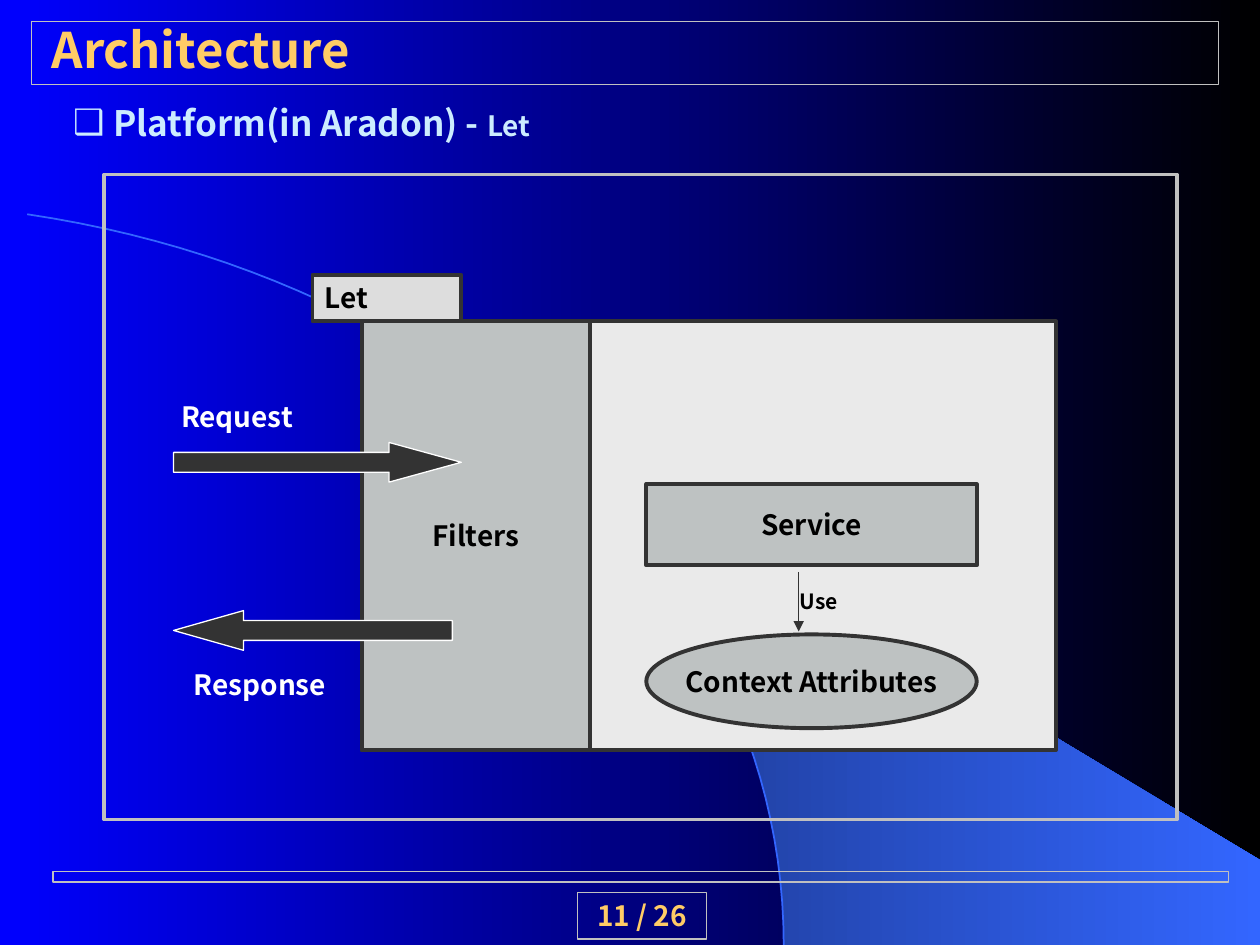
from dataclasses import dataclass

from lxml.etree import SubElement
from pptx import Presentation
from pptx.dml.color import RGBColor as RGB
from pptx.enum.shapes import MSO_CONNECTOR as Link, MSO_SHAPE as Kind
from pptx.enum.text import MSO_ANCHOR as Anchor, MSO_AUTO_SIZE as Auto, PP_ALIGN as Align
from pptx.oxml.ns import qn
from pptx.util import Cm, Pt


@dataclass(frozen=True)
class Theme:
    font: str = "Noto Sans CJK KR"
    blue: str = "0000FF"
    black: str = "000000"
    navy: str = "182F76"
    sky: str = "3366FF"
    gold: str = "FFCC66"
    ice: str = "CCECFF"
    white: str = "FFFFFF"
    silver: str = "C0C0C0"
    dark: str = "333333"
    panel: str = "EAEAEA"
    tab: str = "DDDDDD"
    grey: str = "BEC2C2"
    title: int = 28
    head: int = 20
    text: int = 16
    small: int = 12


theme = Theme()
deck = Presentation()
deck.slide_width, deck.slide_height = Cm(25.4), Cm(19.05)
slide = deck.slides.add_slide(deck.slide_layouts[1])
shapes = slide.shapes


def style(shape, fill, line, width):
    """Set fill and line; None leaves either out, a pair of colours is a gradient."""
    shape.shadow.inherit = False
    if fill is None:
        shape.fill.background()
    elif isinstance(fill, tuple):
        shape.fill.gradient()
        shape.fill.gradient_angle = 0
        for stop, color in zip(shape.fill.gradient_stops, fill):
            stop.color.rgb = RGB.from_string(color)
    else:
        shape.fill.solid()
        shape.fill.fore_color.rgb = RGB.from_string(fill)
    if line is None:
        shape.line.fill.background()
    else:
        shape.line.color.rgb = RGB.from_string(line)
        shape.line.width = Pt(width)


def write(shape, text, size, color, align=Align.LEFT, anchor=Anchor.TOP, wrap=False):
    frame = shape.text_frame
    frame.text = text
    frame.word_wrap = wrap
    frame.auto_size = Auto.NONE
    frame.vertical_anchor = anchor
    line = frame.paragraphs[0]
    line.alignment = align
    line.space_before = Pt(0)
    for run in line.runs:
        run.font.name = theme.font
        run.font.size = Pt(size)
        run.font.bold = True
        run.font.color.rgb = RGB.from_string(color)
    return line


# Background: gradient, wedge and arc
back = slide.background.fill
back.gradient()
back.gradient_angle = 0
for stop, color in zip(back.gradient_stops, (theme.blue, theme.black)):
    stop.color.rgb = RGB.from_string(color)

# The arc is a cubic curve, and its lower part bounds the wedge
ends = [(0.55, 4.32), (9.41, 5.64), (15.8, 11.83), (15.8, 19.05)]
steps = 50
arc = []
for step in range(steps + 1):
    t = step / steps
    parts = ((1 - t) ** 3, 3 * t * (1 - t) ** 2, 3 * t * t * (1 - t), t ** 3)
    arc.append(tuple(Cm(sum(p * end[axis] for p, end in zip(parts, ends)))
                     for axis in (0, 1)))
wedge = arc[18:] + [(Cm(25.4), Cm(19.05)), (Cm(25.4), Cm(17.34))]
for points, closed, fill, line in (
    (wedge, True, (theme.navy, theme.sky), None),
    (arc, False, None, theme.sky),
):
    pen = shapes.build_freeform(*points[0])
    pen.add_line_segments(points[1:], close=closed)
    style(pen.convert_to_shape(), fill, line, 1)

# Title and heading
title, body = slide.placeholders
for holder, place in ((title, (0.79, 0.43, 12.83, 1.27)), (body, (1.22, 1.91, 9.88, 1.09))):
    holder.left, holder.top, holder.width, holder.height = map(Cm, place)
write(title, "Architecture", theme.title, theme.gold, anchor=Anchor.BOTTOM)

head = write(body, "Platform(in Aradon) - ", theme.head, theme.ice)
props = head._p.get_or_add_pPr()
props.set("marL", str(Cm(0.81)))
props.set("indent", str(-Cm(0.81)))
tint = SubElement(props, qn("a:buClr"))
SubElement(tint, qn("a:srgbClr"), val=theme.ice)
SubElement(props, qn("a:buChar"), char="❑")
tail = head.add_run()
tail.text = "Let"
tail.font.name = theme.font
tail.font.size = Pt(theme.text)
tail.font.bold = True
tail.font.color.rgb = RGB.from_string(theme.ice)

# Boxes: kind, place, fill, line, width
rect = Kind.RECTANGLE
boxes = {
    "banner": (rect, (0.64, 0.43, 23.93, 1.27), None, theme.silver, 0.75),
    "rule": (rect, (1.07, 17.57, 23.7, 0.21), None, theme.silver, 0.75),
    "page": (rect, (11.64, 17.99, 2.6, 0.94), None, theme.silver, 0.75),
    "frame": (rect, (2.1, 3.52, 21.63, 13), None, theme.silver, 2),
    "panel": (rect, (7.29, 6.48, 14, 8.64), theme.panel, theme.dark, 2.25),
    "filters": (rect, (7.29, 6.48, 4.6, 8.64), theme.grey, theme.dark, 2.25),
    "context": (Kind.OVAL, (13.03, 12.79, 6.66, 1.89), theme.grey, theme.dark, 2.25),
    "service": (rect, (13.03, 9.76, 6.66, 1.64), theme.grey, theme.dark, 2.25),
    "let": (rect, (6.3, 5.54, 3, 0.94), theme.tab, theme.dark, 2.25),
    "request": (Kind.RIGHT_ARROW, (3.5, 8.92, 5.8, 0.8), theme.dark, theme.white, 0.75),
    "response": (Kind.LEFT_ARROW, (3.5, 12.31, 5.62, 0.8), theme.dark, theme.white, 0.75),
}
made = {}
for name, (kind, place, fill, line, width) in boxes.items():
    made[name] = shapes.add_shape(kind, *map(Cm, place))
    style(made[name], fill, line, width)
made["request"].adjustments[1] = 1.82
made["response"].adjustments[1] = 1.76

write(made["page"], "11 / 26", theme.text, theme.gold, Align.CENTER, wrap=True)
write(made["let"], "Let", theme.text, theme.black, wrap=True)
for name, text in (("filters", "Filters"), ("context", "Context Attributes"),
                   ("service", "Service")):
    write(made[name], text, theme.text, theme.black, Align.CENTER, Anchor.MIDDLE)

# Arrow from service to context
use = shapes.add_connector(Link.STRAIGHT, Cm(16.1), Cm(11.53), Cm(16.1), Cm(12.73))
use.line.color.rgb = RGB.from_string(theme.dark)
use.line.width = Pt(0.75)
SubElement(use.line._get_or_add_ln(), qn("a:tailEnd"), type="triangle")
SubElement(use._element.spPr, qn("a:effectLst"))

# Labels
for text, place, size, color in (
    ("Request", (3.4, 7.92, 2.8, 0.94), theme.text, theme.white),
    ("Use", (15.87, 11.73, 1.3, 0.77), theme.small, theme.black),
    ("Response", (3.66, 13.34, 3.17, 0.94), theme.text, theme.white),
):
    write(shapes.add_textbox(*map(Cm, place)), text, size, color)

deck.save("out.pptx")
